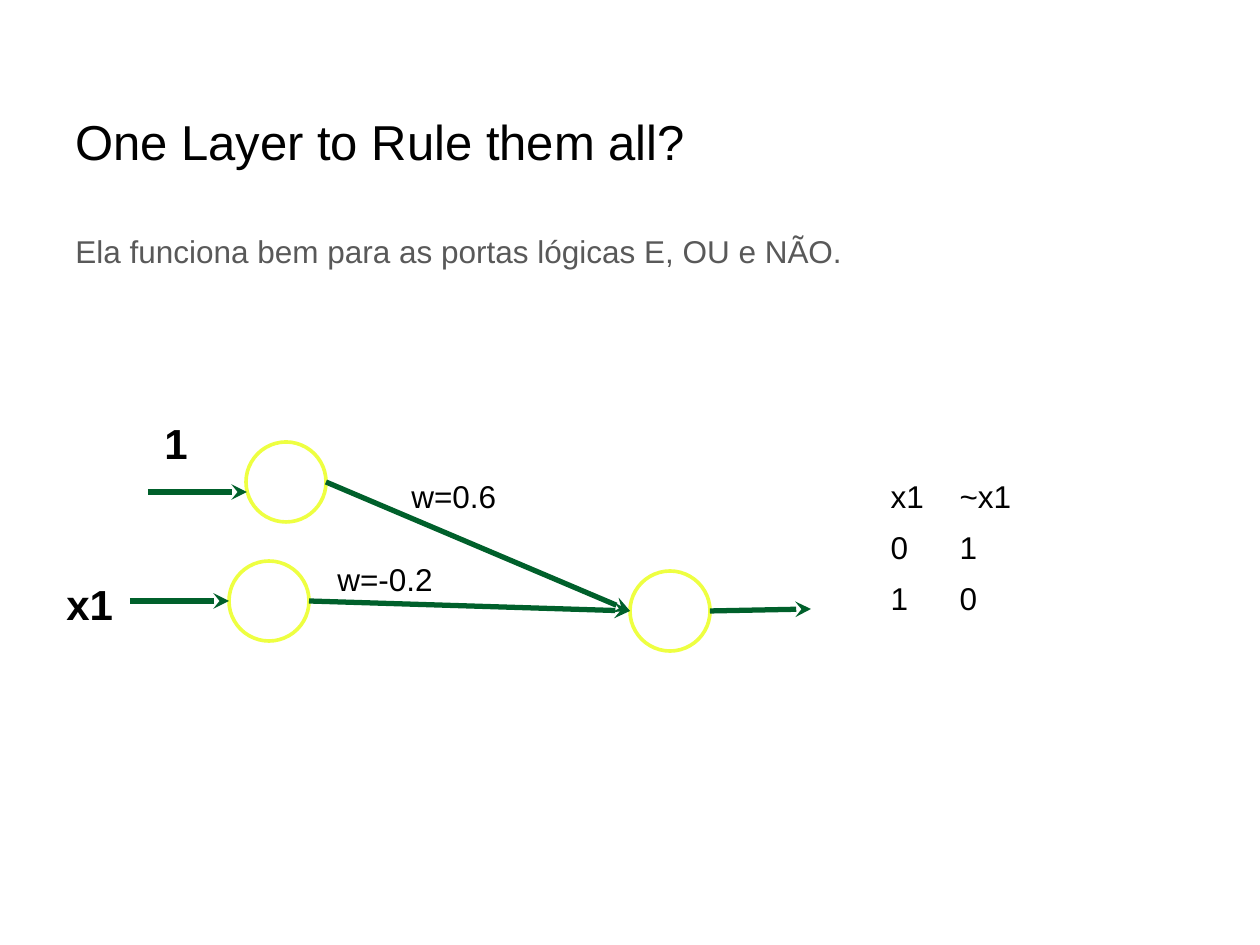
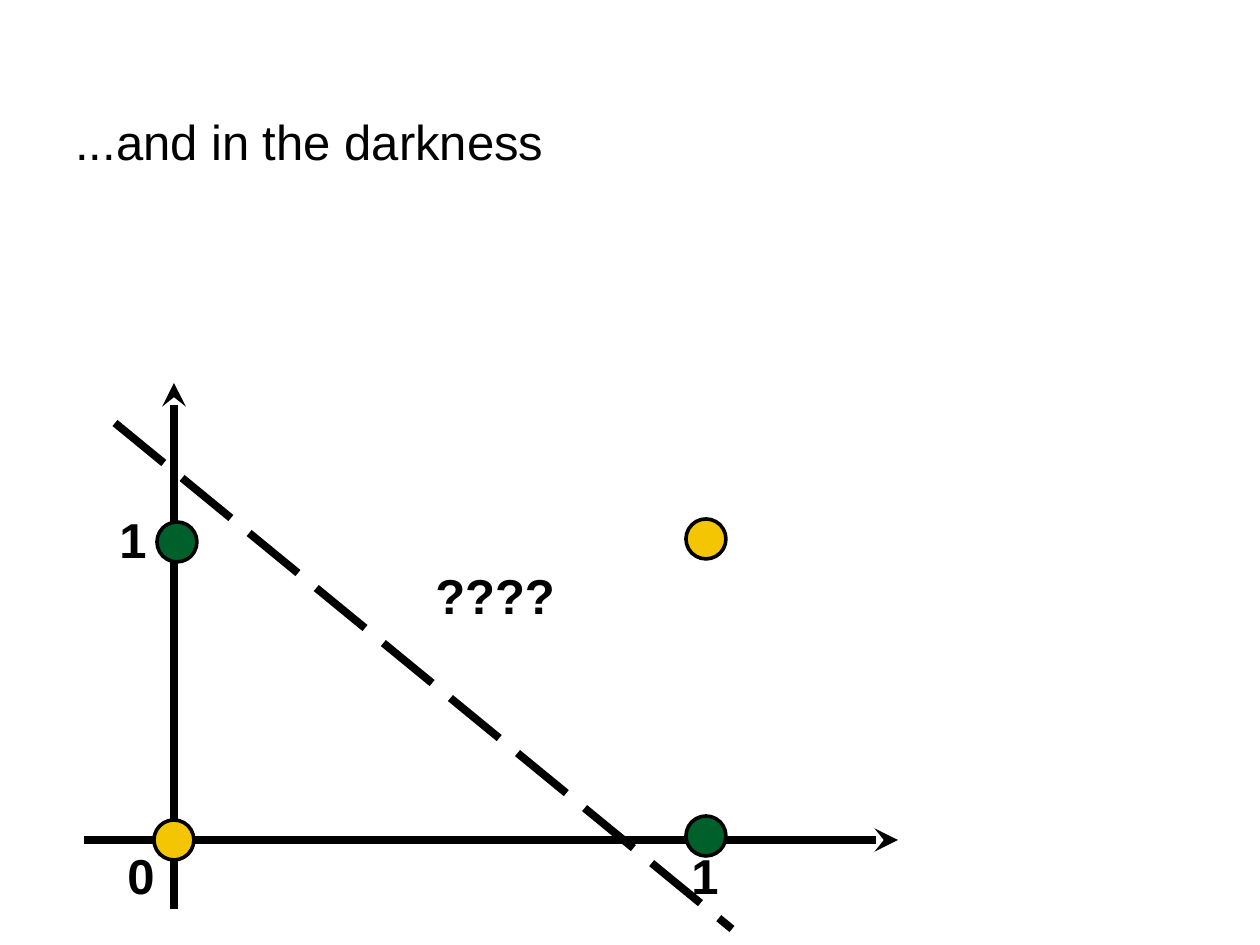
from lxml import etree
from pptx import Presentation
from pptx.dml.color import RGBColor
from pptx.enum.dml import MSO_LINE
from pptx.enum.shapes import MSO_CONNECTOR, MSO_SHAPE
from pptx.enum.text import MSO_ANCHOR, PP_ALIGN
from pptx.oxml.ns import qn
from pptx.util import Emu, Pt

STRAIGHT = MSO_CONNECTOR.STRAIGHT
OVAL = MSO_SHAPE.OVAL
DASH = MSO_LINE.LONG_DASH
MIDDLE = MSO_ANCHOR.MIDDLE
JUSTIFY = PP_ALIGN.JUSTIFY

BLACK = RGBColor(0x00, 0x00, 0x00)
WHITE = RGBColor(0xFF, 0xFF, 0xFF)
GRAY = RGBColor(0x59, 0x59, 0x59)
GREEN = RGBColor(0x00, 0x60, 0x2B)
LIME = RGBColor(0xEE, 0xFF, 0x41)
GOLD = RGBColor(0xF3, 0xC5, 0x03)

FONT = "Arial"
SCALE = 914400 / 126
TITLE_BOX = (63, 73, 1134, 136)
NODE = 80
DOT = 40


def px(n):
    return Emu(round(n * SCALE))


def style(par, size, color=BLACK, bold=False):
    for run in par.runs:
        font = run.font
        font.name = FONT
        font.size = Pt(size)
        font.bold = bold
        font.color.rgb = color


def add_text(slide, text, box, size, color=BLACK, bold=False):
    frame = slide.shapes.add_textbox(*map(px, box)).text_frame
    frame.word_wrap = True
    frame.text = text
    style(frame.paragraphs[0], size, color, bold)
    return frame


def add_title(slide, text):
    frame = add_text(slide, text, TITLE_BOX, 28)
    frame.vertical_anchor = MIDDLE


def add_body(slide, text):
    frame = add_text(slide, text, (63, 220, 1134, 672), 18, GRAY)
    par = frame.paragraphs[0]
    par.alignment = JUSTIFY
    par.line_spacing = 1.15
    par.space_after = Pt(12)


def add_circle(slide, center, size, fill, edge):
    x, y = center
    half = size / 2
    shape = slide.shapes.add_shape(
        OVAL, px(x - half), px(y - half), px(size), px(size))
    shape.shadow.inherit = False
    shape.fill.solid()
    shape.fill.fore_color.rgb = fill
    shape.line.color.rgb = edge
    shape.line.width = Pt(2.08)


def add_line(slide, start, end, color, width, dash=None):
    """Draw a dashed line if dash is given, or else an arrow."""
    link = slide.shapes.add_connector(STRAIGHT, *map(px, start + end))
    link.line.color.rgb = color
    link.line.width = Pt(width)
    if dash:
        link.line.dash_style = dash
    else:
        tail = etree.SubElement(link.line._get_or_add_ln(), qn("a:tailEnd"))
        tail.set("type", "stealth")
    etree.SubElement(link._element.spPr, qn("a:effectLst"))


def add_grid(slide, rows, left, top, widths, height):
    table = slide.shapes.add_table(
        len(rows), len(widths), px(left), px(top),
        px(sum(widths)), px(height * len(rows))).table
    table.first_row = False
    table.horz_banding = False
    for col, width in zip(table.columns, widths):
        col.width = px(width)
    for r, row in enumerate(rows):
        for c, text in enumerate(row):
            cell = table.cell(r, c)
            cell.fill.background()
            cell.text_frame.text = text
            style(cell.text_frame.paragraphs[0], 18)


def left_of(center):
    return center[0] - NODE // 2, center[1]


def right_of(center):
    return center[0] + NODE // 2, center[1]


def draw_layer(slide):
    add_title(slide, "One Layer to Rule them all?")
    add_body(slide, "Ela funciona bem para as portas lógicas E, OU e NÃO.")

    bias, entry, out = (286, 482), (269, 601), (670, 611)
    for node in (bias, entry, out):
        add_circle(slide, node, NODE, WHITE, LIME)
    arrows = [
        ((148, 492), (247, 492)),
        ((130, 601), left_of(entry)),
        (right_of(bias), left_of(out)),
        (right_of(entry), left_of(out)),
        (right_of(out), (811, 609)),
    ]
    for start, end in arrows:
        add_line(slide, start, end, GREEN, 3)

    add_text(slide, "1", (152, 411, 49, 63), 24, bold=True)
    add_text(slide, "x1", (54, 572, 74, 63), 24, bold=True)
    add_text(slide, "w=0.6", (399, 471, 112, 50), 18)
    add_text(slide, "w=-0.2", (325, 554, 123, 50), 18)
    rows = [("x1", "~x1"), ("0", "1"), ("1", "0")]
    add_grid(slide, rows, 878, 474, (69, 169), 51)


def draw_plane(slide):
    add_title(slide, "...and in the darkness")
    add_line(slide, (174, 909), (174, 383), BLACK, 4.5)
    add_line(slide, (84, 840), (898, 840), BLACK, 4.5)

    dots = [((177, 542), GREEN), ((174, 840), GOLD),
            ((706, 836), GREEN), ((706, 539), GOLD)]
    for center, fill in dots:
        add_circle(slide, center, DOT, fill, BLACK)
    add_line(slide, (115, 423), (732, 929), BLACK, 4.5, DASH)

    labels = [("0", 115, 839, 53), ("1", 107, 503, 53),
              ("1", 679, 839, 53), ("????", 423, 559, 148)]
    for text, x, y, width in labels:
        add_text(slide, text, (x, y, width, 72), 28, bold=True)


def main():
    deck = Presentation()
    deck.slide_width = px(1260)
    deck.slide_height = px(945)
    blank = deck.slide_layouts[6]
    for draw in (draw_layer, draw_plane):
        draw(deck.slides.add_slide(blank))
    deck.save("out.pptx")


if __name__ == "__main__":
    main()
